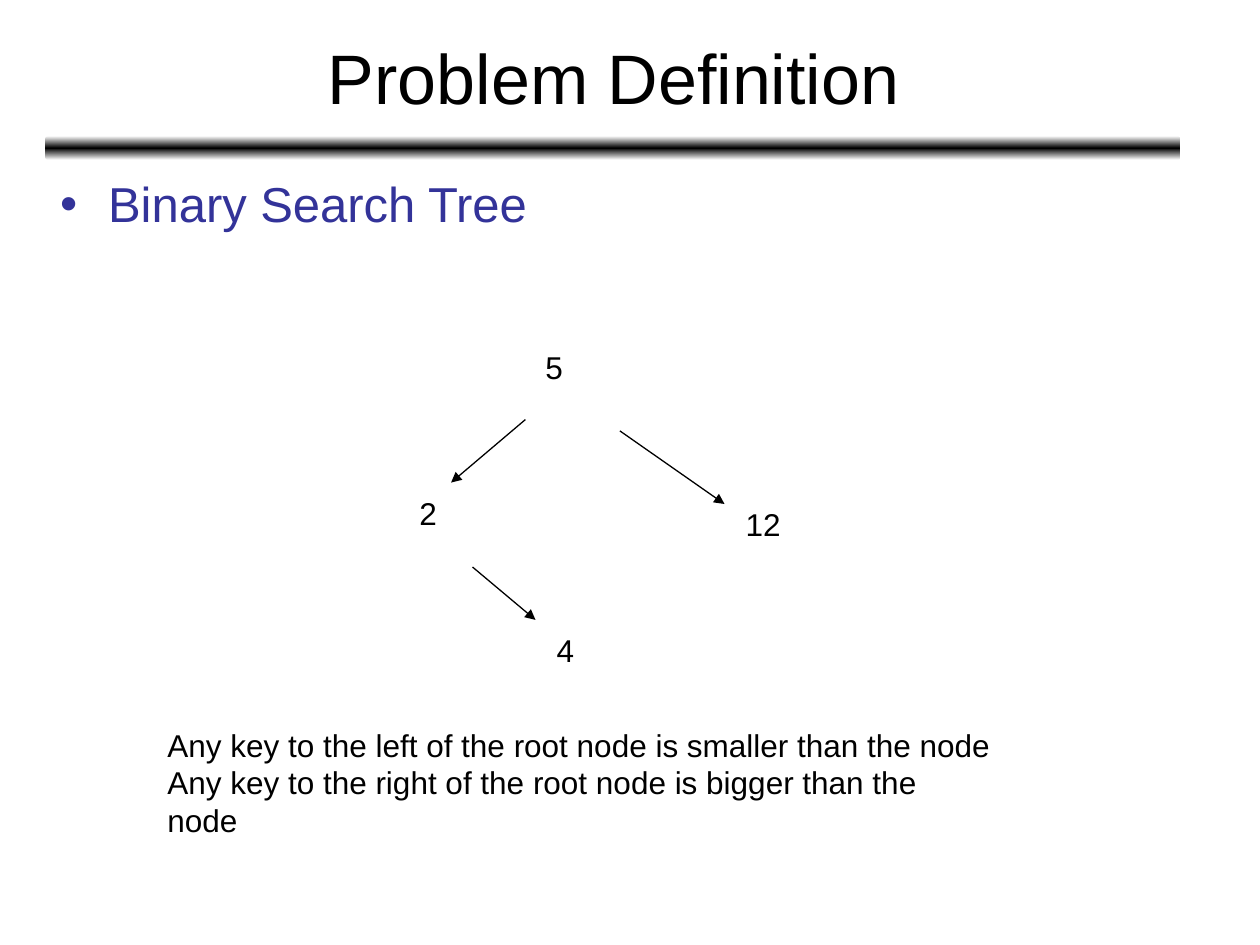
from copy import deepcopy

from lxml.etree import SubElement
from pptx import Presentation
from pptx.dml.color import RGBColor
from pptx.enum.shapes import MSO_CONNECTOR as Connector, MSO_SHAPE as Shape
from pptx.enum.text import MSO_ANCHOR as Anchor, PP_ALIGN as Align
from pptx.oxml.ns import qn
from pptx.util import Inches, Pt

WIDTH, HEIGHT = 10, 7.5
BLACK, WHITE, BLUE = "000000", "FFFFFF", "333399"
TITLE = "Problem Definition"
TOPIC = "Binary Search Tree"
RULES = [
    "Any key to the left of the root node is smaller than the node",
    "Any key to the right of the root node is bigger than the node",
]
NODES = [("5", 4.23, 2.71), ("2", 3.23, 3.87), ("4", 4.32, 4.96), ("12", 5.82, 3.96)]
EDGES = [
    (4.17, 3.33, 3.58, 3.83),
    (3.75, 4.5, 4.25, 4.92),
    (4.92, 3.42, 5.75, 4),
]
DIVIDER_STOPS = [(0, WHITE), (0.5, BLACK), (1, WHITE)]
TITLE_FORMAT = {"size": Pt(40), "color": BLACK}
TOPIC_FORMAT = {"size": Pt(28), "color": BLUE}
LABEL_FORMAT = {"size": Pt(18), "color": BLACK}


def color(value):
    return RGBColor.from_string(value)


def add_text(slide, box, lines, text_format, wrap=True, anchor=Anchor.TOP, align=Align.LEFT, bullet=None):
    frame = slide.shapes.add_textbox(*map(Inches, box)).text_frame
    frame.word_wrap, frame.vertical_anchor = wrap, anchor
    frame.text = "\n".join(lines)
    for paragraph in frame.paragraphs:
        paragraph.alignment = align
        if bullet:
            properties = paragraph._p.get_or_add_pPr()
            properties.set("marL", str(Inches(0.38)))
            properties.set("indent", str(-Inches(0.38)))
            SubElement(properties, qn("a:buFont"), typeface="Arial")
            SubElement(properties, qn("a:buChar"), char=bullet)
        font = paragraph.runs[0].font
        font.name = "Arial"
        for name, value in text_format.items():
            if name == "color":
                font.color.rgb = color(value)
            else:
                setattr(font, name, value)


def add_divider(slide, box):
    shape = slide.shapes.add_shape(Shape.ROUNDED_RECTANGLE, *map(Inches, box))
    shape.shadow.inherit = False
    shape.line.fill.background()
    shape.fill.gradient()
    shape.fill.gradient_angle = 90
    stop_list = shape._element.spPr.find(".//" + qn("a:gsLst"))
    stop_list.append(deepcopy(stop_list[-1]))
    for stop, (position, value) in zip(shape.fill.gradient_stops, DIVIDER_STOPS):
        stop.position, stop.color.rgb = position, color(value)


def add_arrow(slide, ends):
    arrow = slide.shapes.add_connector(Connector.STRAIGHT, *map(Inches, ends))
    arrow.line.width = Pt(0.75)
    arrow.line.color.rgb = color(BLACK)
    SubElement(arrow.line._get_or_add_ln(), qn("a:tailEnd"), type="triangle")
    SubElement(arrow._element.spPr, qn("a:effectLst"))


def main():
    """Build the binary search tree slide."""
    presentation = Presentation()
    presentation.slide_width, presentation.slide_height = Inches(WIDTH), Inches(HEIGHT)
    slide = presentation.slides.add_slide(presentation.slide_layouts[6])
    add_divider(slide, (0.36, 1.08, 9.01, 0.19))
    add_text(slide, (0.37, 0.11, 9, 0.99), [TITLE], TITLE_FORMAT, anchor=Anchor.MIDDLE, align=Align.CENTER)
    add_text(slide, (0.38, 1.33, 9, 5.55), [TOPIC], TOPIC_FORMAT, bullet="•")
    for key, left, top in NODES:
        add_text(slide, (left, top, 0.2 + 0.14 * len(key), 0.4), [key], LABEL_FORMAT, wrap=False)
    for ends in EDGES:
        add_arrow(slide, ends)
    add_text(slide, (1.23, 5.71, 6.77, 1), RULES, LABEL_FORMAT, wrap=False)
    presentation.save("out.pptx")


if __name__ == "__main__":
    main()
